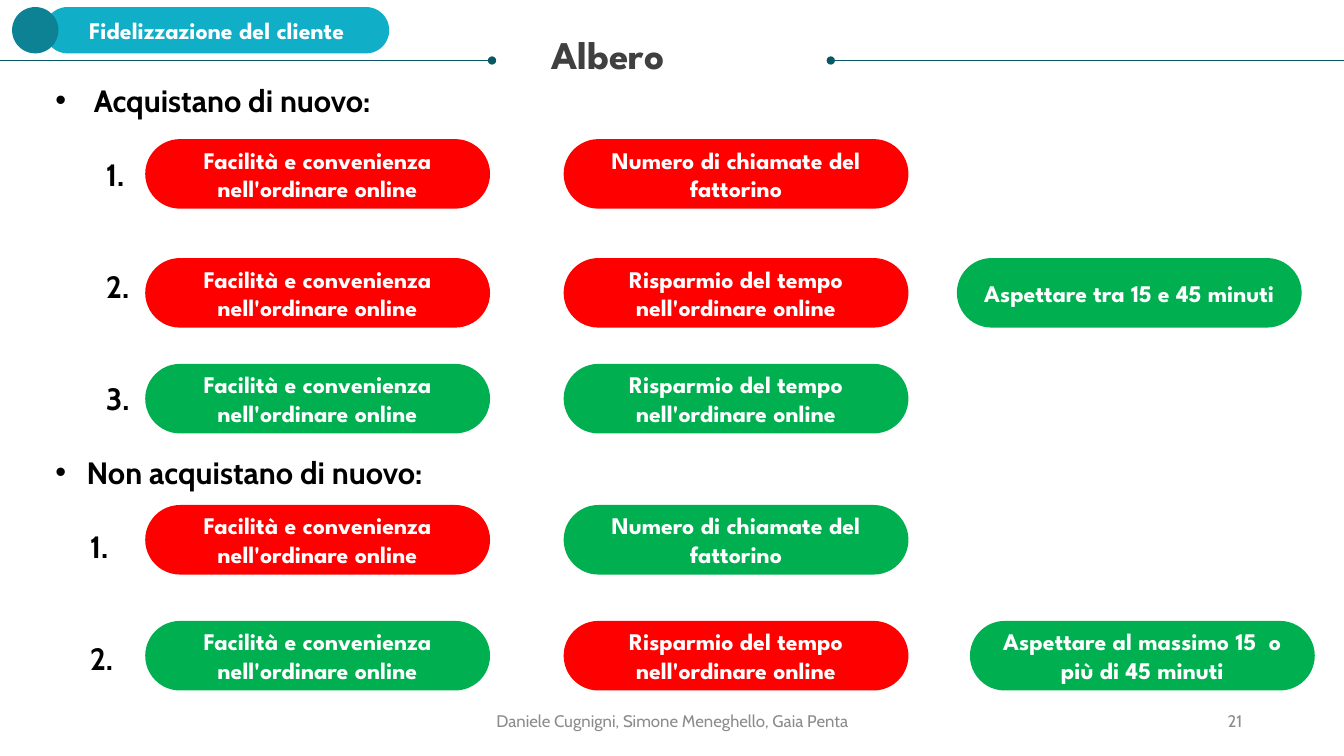
"""Build the "Albero" slide: paths of customers who buy again or do not."""
from lxml import etree
from pptx import Presentation
from pptx.dml.color import RGBColor
from pptx.enum.shapes import MSO_CONNECTOR, MSO_SHAPE
from pptx.enum.text import MSO_ANCHOR, MSO_AUTO_SIZE, PP_ALIGN
from pptx.oxml.ns import qn
from pptx.util import Pt

PX = 9144
STRAIGHT = MSO_CONNECTOR.STRAIGHT
PILL, CIRCLE = MSO_SHAPE.ROUNDED_RECTANGLE, MSO_SHAPE.OVAL
TOP, MIDDLE = MSO_ANCHOR.TOP, MSO_ANCHOR.MIDDLE
LEFT, CENTER, RIGHT = PP_ALIGN.LEFT, PP_ALIGN.CENTER, PP_ALIGN.RIGHT
NO_FIT = MSO_AUTO_SIZE.NONE

WHITE = RGBColor(0xFF, 0xFF, 0xFF)
BLACK = RGBColor(0x00, 0x00, 0x00)
DARK_GRAY = RGBColor(0x40, 0x40, 0x40)
GRAY = RGBColor(0x8C, 0x8C, 0x8C)
RED = RGBColor(0xFF, 0x00, 0x00)
GREEN = RGBColor(0x00, 0xB0, 0x50)
CYAN = RGBColor(0x11, 0xAE, 0xC7)
TEAL = RGBColor(0x0D, 0x82, 0x95)
DARK_TEAL = RGBColor(0x08, 0x57, 0x64)

TITLE_FONT = {"name": "League Spartan", "size": Pt(28), "bold": True}
PILL_FONT = {"name": "League Spartan", "size": Pt(17), "bold": True}
LIST_FONT = {"name": "Cabin", "size": Pt(22), "bold": True}
FOOTER_FONT = {"name": "Cabin", "size": Pt(12), "bold": False}


def write(para, text, font, color, align):
    """Fill a paragraph with one formatted span."""
    para.alignment = align
    span = para.add_run()
    span.text = text
    for key, value in font.items():
        setattr(span.font, key, value)
    span.font.color.rgb = color


def add_block(page, kind, at, fill, text=""):
    """Add a filled preset shape with centred white text."""
    block = page.shapes.add_shape(kind, *(n * PX for n in at))
    block.shadow.inherit = False
    block.fill.solid()
    block.fill.fore_color.rgb = fill
    block.line.fill.background()
    if kind == PILL:
        block.adjustments[0] = 0.5
    if text:
        block.text_frame.word_wrap = True
        block.text_frame.vertical_anchor = MIDDLE
        write(block.text_frame.paragraphs[0], text, PILL_FONT, WHITE, CENTER)


deck = Presentation()
deck.slide_width, deck.slide_height = 1333 * PX, 750 * PX
page = deck.slides.add_slide(deck.slide_layouts[3])
title, again_list, lost_list = page.placeholders

for left, width, align, text in [
    (442, 450, CENTER, "Daniele Cugnigni, Simone Meneghello, Gaia Penta"),
    (942, 300, RIGHT, "21"),
]:
    box = page.shapes.add_textbox(left * PX, 695 * PX, width * PX, 40 * PX)
    box.text_frame.word_wrap = True
    box.text_frame.vertical_anchor = MIDDLE
    write(box.text_frame.paragraphs[0], text, FOOTER_FONT, GRAY, align)

for start, end, dot in [(0, 488, "a:tailEnd"), (824, 1333, "a:headEnd")]:
    rule = page.shapes.add_connector(STRAIGHT, start * PX, 60 * PX, end * PX, 60 * PX)
    rule.line.color.rgb = DARK_TEAL
    rule.line.width = Pt(0.5)
    etree.SubElement(rule.line._get_or_add_ln(), qn(dot), type="oval")
    etree.SubElement(rule._element.spPr, qn("a:effectLst"))

add_block(page, PILL, (44, 7, 342, 46), CYAN, "Fidelizzazione del cliente")
add_block(page, CIRCLE, (12, 7, 46, 46), TEAL)

for holder, at in [
    (title, (537, 25, 476, 57)),
    (again_list, (45, 76, 1142, 380)),
    (lost_list, (45, 445, 1177, 232)),
]:
    holder.left, holder.top, holder.width, holder.height = (n * PX for n in at)
    holder.text_frame.auto_size = NO_FIT
    holder.text_frame.vertical_anchor = TOP
    holder.text_frame.word_wrap = True

write(title.text_frame.paragraphs[0], "Albero", TITLE_FONT, DARK_GRAY, LEFT)

for holder, heading, hanging, indent, count in [
    (again_list, "Acquistano di nuovo:", 38, 50, 3),
    (lost_list, "Non acquistano di nuovo:", 31, 34, 2),
]:
    frame = holder.text_frame
    for number in range(count + 1):
        para = frame.add_paragraph() if number else frame.paragraphs[0]
        props = para._p.get_or_add_pPr()
        props.set("marL", str((indent if number else hanging) * PX))
        props.set("indent", str(0 if number else -hanging * PX))
        if number:
            etree.SubElement(props, qn("a:buNone"))
        else:
            etree.SubElement(props, qn("a:buFont"), typeface="Arial")
            etree.SubElement(props, qn("a:buChar"), char="•")
        para.space_before = Pt((0, 26.7, 53.4, 53.4)[number])
        write(para, f"{number}." if number else heading, LIST_FONT, BLACK, LEFT)

EASE = "Facilità e convenienza nell'ordinare online"
CALLS = "Numero di chiamate del fattorino"
TIME = "Risparmio del tempo nell'ordinare online"
COLUMNS = (144, 559)

for top, steps in [
    (138, [(EASE, RED), (CALLS, RED)]),
    (256, [(EASE, RED), (TIME, RED)]),
    (361, [(EASE, GREEN), (TIME, GREEN)]),
    (501, [(EASE, RED), (CALLS, GREEN)]),
    (616, [(EASE, GREEN), (TIME, RED)]),
]:
    for left, (text, color) in zip(COLUMNS, steps):
        add_block(page, PILL, (left, top, 342, 69), color, text)

for left, top, text in [
    (949, 256, "Aspettare tra 15 e 45 minuti"),
    (962, 616, "Aspettare al massimo 15  o più di 45 minuti"),
]:
    add_block(page, PILL, (left, top, 342, 69), GREEN, text)

deck.save("out.pptx")
